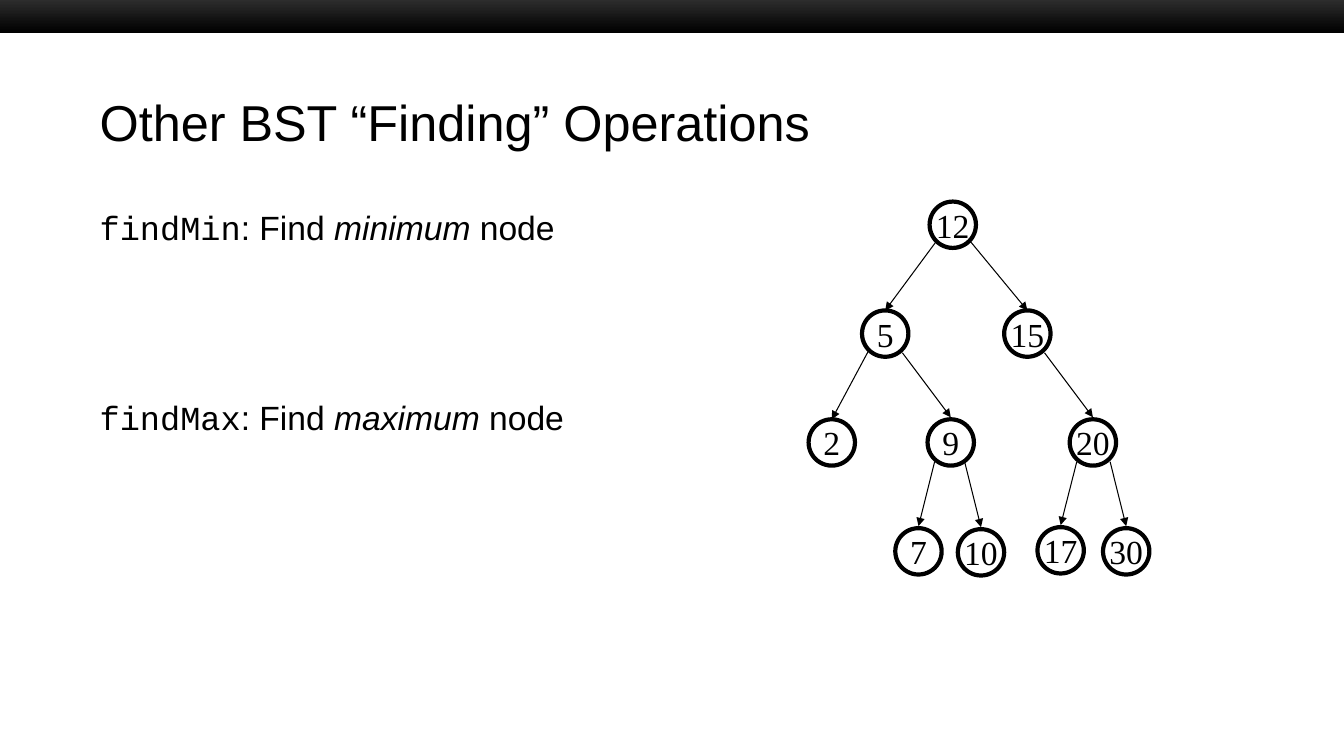
from lxml import etree
from pptx import Presentation
from pptx.dml.color import RGBColor
from pptx.enum.shapes import MSO_CONNECTOR as Connector, MSO_SHAPE as Shape
from pptx.enum.text import MSO_ANCHOR as Anchor, PP_ALIGN as Align
from pptx.oxml.ns import qn
from pptx.util import Emu, Pt

# Content
TITLE = "Other BST “Finding” Operations"
OPERATIONS = [("findMin", "minimum"), ("findMax", "maximum")]
NODES = {  # key: left, top
    20: (1061, 416), 9: (920, 416), 2: (802, 416),
    15: (996, 308), 5: (855, 308), 12: (922, 200),
    30: (1094, 524), 7: (888, 524), 17: (1029, 523), 10: (950, 525),
}
EDGES = [  # parent, child, start right and below the parent's centre, gap at child
    (12, 5, -16, 16, 0), (12, 15, 17, 16, 0), (15, 20, 17, 19, 2),
    (5, 2, -16, 16, 0), (5, 9, 17, 19, 2), (20, 30, 17, 19, 2),
    (9, 7, -16, 19, 2), (20, 17, -16, 19, 2), (9, 10, 14, 20, 2),
]
COLORS = {"ink": "000000", "bar": "333333"}
SANS, MONO, SERIF = "Arial", "Courier New", "Times New Roman"
NODE_SIZE = 46


def px(value):
    return Emu(value * 9144)


def color(name):
    return RGBColor.from_string(COLORS[name])


def set_font(font, name, size):
    font.name, font.size = name, Pt(size)
    font.color.rgb = color("ink")


def add_box(left, top, width, height, anchor):
    box = page.shapes.add_textbox(px(left), px(top), px(width), px(height))
    box.text_frame.word_wrap = True
    box.text_frame.vertical_anchor = anchor
    return box.text_frame


def add_node(key, left, top):
    node = tree.shapes.add_shape(Shape.OVAL, px(left), px(top), px(NODE_SIZE), px(NODE_SIZE))
    node.shadow.inherit = False
    node.fill.background()
    node.line.color.rgb = color("ink")
    node.line.width = Pt(3)
    frame = node.text_frame
    frame.word_wrap = False
    frame.vertical_anchor = Anchor.MIDDLE
    para = frame.paragraphs[0]
    para.text = str(key)
    para.alignment = Align.CENTER
    set_font(para.font, SERIF, 24)


def add_edge(parent, child, right, below, gap):
    half = NODE_SIZE // 2
    parent_left, parent_top = NODES[parent]
    child_left, child_top = NODES[child]
    edge = tree.shapes.add_connector(
        Connector.STRAIGHT,
        px(parent_left + half + right), px(parent_top + half + below),
        px(child_left + half), px(child_top - gap))
    edge.line.color.rgb = color("ink")
    edge.line.width = Pt(0.75)
    etree.SubElement(edge.line._get_or_add_ln(), qn("a:tailEnd"), type="triangle")
    etree.SubElement(edge._element.spPr, qn("a:effectLst"))


deck = Presentation()
deck.slide_width, deck.slide_height = px(1333), px(750)
page = deck.slides.add_slide(deck.slide_layouts[6])

# Top bar
bar = page.shapes.add_shape(Shape.RECTANGLE, px(0), px(-5), px(1333), px(38))
bar.shadow.inherit = False
bar.line.fill.background()
bar.fill.gradient()
bar.fill.gradient_angle = 270
for stop, name, position in zip(bar.fill.gradient_stops, ("bar", "ink"), (0, 1)):
    stop.color.rgb = color(name)
    stop.position = position

# Title
para = add_box(89, 83, 1156, 75, Anchor.MIDDLE).paragraphs[0]
para.text = TITLE
set_font(para.font, SANS, 36)

# Operations
frame = add_box(89, 200, 1156, 425, Anchor.TOP)
for index, (operation, target) in enumerate(OPERATIONS):
    para = frame.add_paragraph() if index else frame.paragraphs[0]
    para.space_before = Pt(107 if index else 4.8)
    for text, name, italic in [(operation, MONO, False), (": Find ", SANS, False),
                               (target, SANS, True), (" node", SANS, False)]:
        span = para.add_run()
        span.text = text
        span.font.italic = italic
        set_font(span.font, name, 24)

# Search tree
tree = page.shapes.add_group_shape()
for key, (left, top) in NODES.items():
    add_node(key, left, top)
for edge in EDGES:
    add_edge(*edge)

deck.save("out.pptx")
